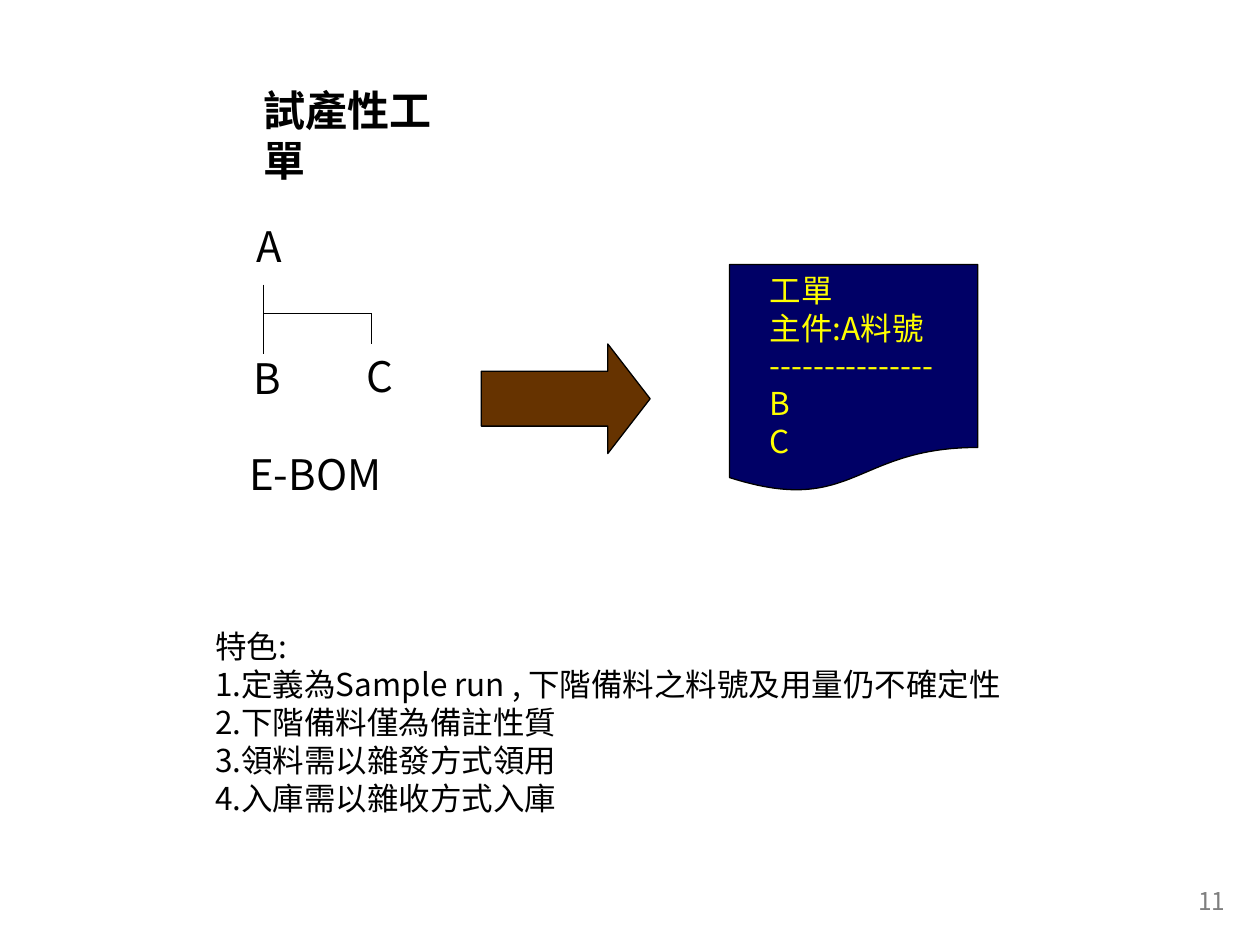
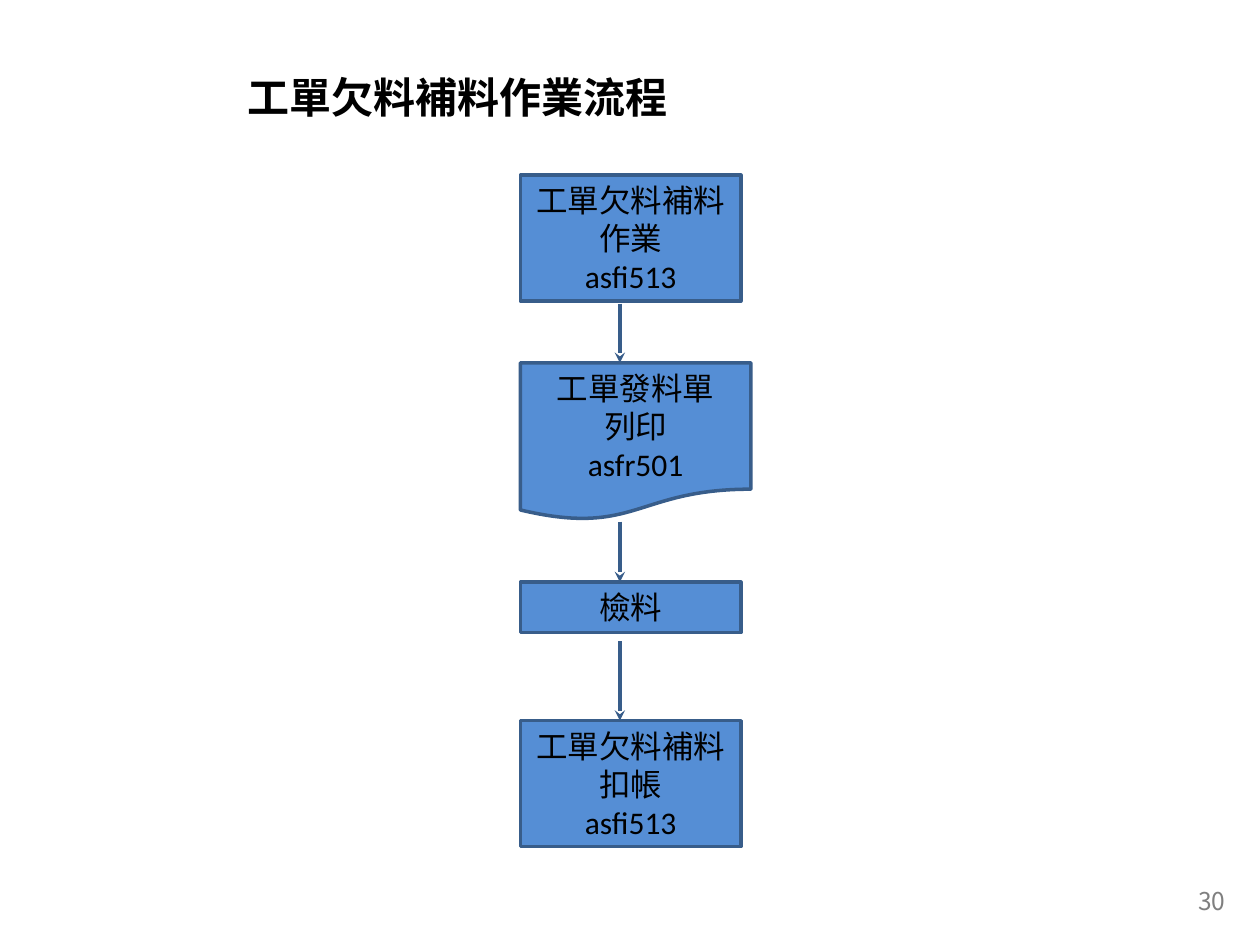
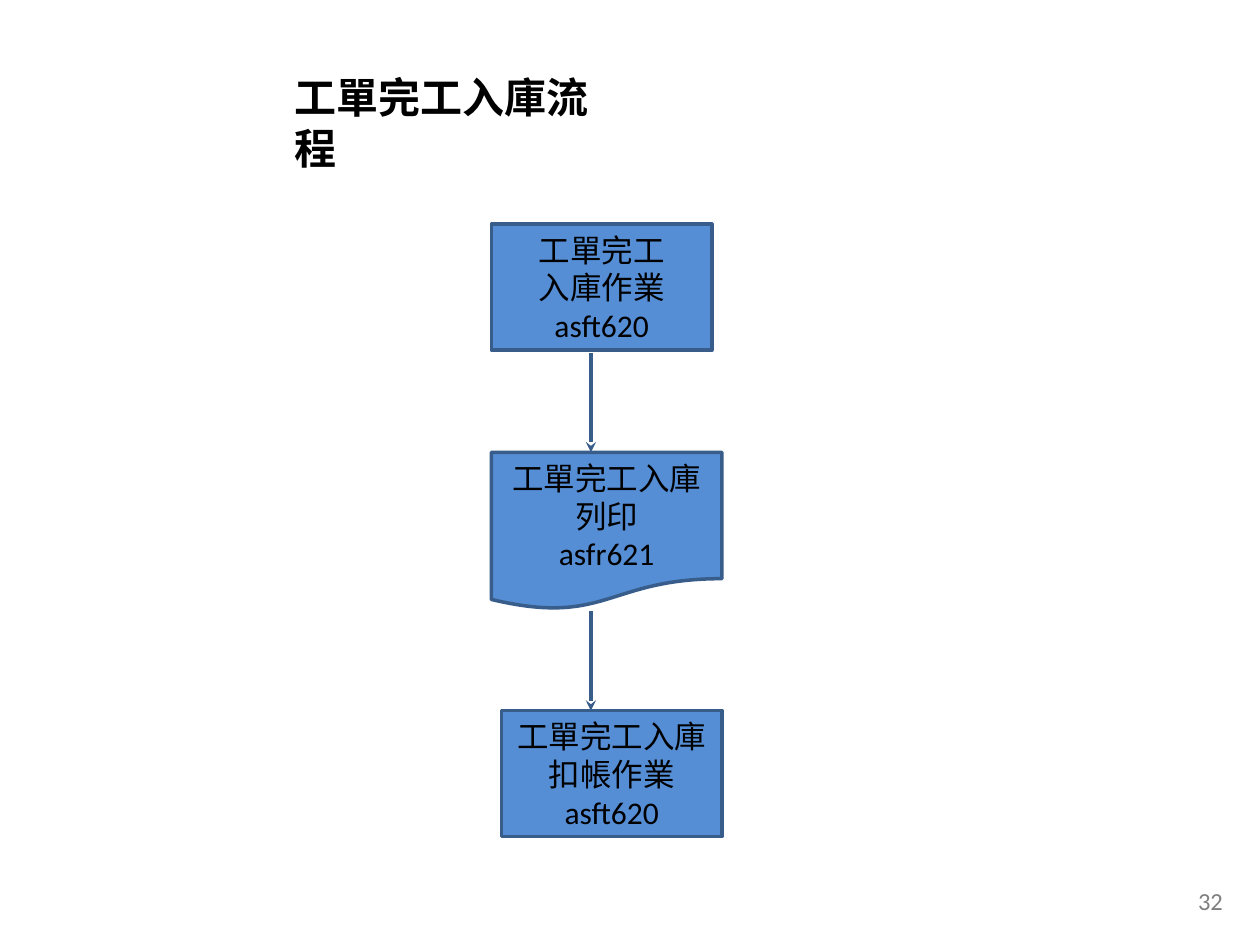
import dataclasses

import lxml.etree
import pptx
import pptx.dml.color
import pptx.enum.shapes
import pptx.enum.text
import pptx.oxml.ns
import pptx.util


@dataclasses.dataclass(frozen=True)
class Theme:
    ink: str = "000000"
    page_grey: str = "7F7F7F"
    step_fill: str = "558ED5"
    step_line: str = "385D8A"
    order_fill: str = "000066"
    order_text: str = "FFFF00"
    arrow_fill: str = "663300"
    main_font: str = "Noto Sans CJK TC"
    step_font: str = "Calibri"
    title_size: int = 24
    body_size: int = 18
    page_size: int = 14
    thin: float = 0.75
    thick: float = 2


theme = Theme()
color = pptx.dml.color.RGBColor.from_string
qname = pptx.oxml.ns.qn
preset = pptx.enum.shapes.MSO_SHAPE

presentation = pptx.Presentation()
presentation.slide_width = pptx.util.Inches(10)
presentation.slide_height = pptx.util.Inches(7.5)
column = presentation.slide_width / 100
row = presentation.slide_height / 75


def add_box(slide, kind, place, lines, size=theme.body_size, ink=theme.ink,
            font=theme.main_font, fill=None, line=None, width=theme.thin,
            bold=False, wrap=False):
    left, top, columns, rows = place
    bounds = [round(n) for n in (left * column, top * row, columns * column, rows * row)]
    if kind is None:
        shape = slide.shapes.add_textbox(*bounds)
    else:
        shape = slide.shapes.add_shape(kind, *bounds)
        shape.shadow.inherit = False
        shape.fill.solid()
        shape.fill.fore_color.rgb = color(fill)
        shape.line.color.rgb = color(line)
        shape.line.width = pptx.util.Pt(width)
    frame = shape.text_frame
    frame.word_wrap = wrap
    frame.text = "\n".join(lines)
    for paragraph in frame.paragraphs:
        if kind is not None:
            paragraph.alignment = pptx.enum.text.PP_ALIGN.CENTER
        paragraph.font.size = pptx.util.Pt(size)
        paragraph.font.bold = bold
        paragraph.font.color.rgb = color(ink)
        paragraph.font.name = font
        properties = paragraph._p.find(f"{qname('a:pPr')}/{qname('a:defRPr')}")
        lxml.etree.SubElement(properties, qname("a:ea"), typeface=theme.main_font)
    return shape


def add_line(slide, start, end, ink=theme.ink, width=theme.thin, arrow=False):
    connector = slide.shapes.add_connector(
        pptx.enum.shapes.MSO_CONNECTOR.STRAIGHT,
        round(start[0] * column), round(start[1] * row),
        round(end[0] * column), round(end[1] * row))
    connector.line.color.rgb = color(ink)
    connector.line.width = pptx.util.Pt(width)
    if arrow:
        lxml.etree.SubElement(connector.line._get_or_add_ln(), qname("a:tailEnd"), type="stealth")
    lxml.etree.SubElement(connector._element.spPr, qname("a:effectLst"))


pages = [
    ("試產性工單", (19.9, 6.2, 18.6, 5), "11", theme.main_font),
    ("工單欠料補料作業流程", (18.7, 5.2, 35.3, 5), "30", theme.main_font),
    ("工單完工入庫流程", (22.4, 5.2, 28.6, 5), "32", theme.step_font),
]
slides = []
for title, place, number, number_font in pages:
    slide = presentation.slides.add_slide(presentation.slide_layouts[6])
    add_box(slide, None, place, [title], theme.title_size, bold=True)
    add_box(slide, None, (94.1, 69.8, 5.9, 2.7), [number], theme.page_size,
            theme.page_grey, number_font, wrap=True)
    slides.append(slide)

trial_slide, *flow_slides = slides
for label, left, top, columns in [("A", 19.4, 17, 4.1), ("B", 19.1, 27.5, 4.1),
                                  ("C", 28.1, 27.3, 4.1), ("E-BOM", 18.8, 35.1, 12.7)]:
    add_box(trial_slide, None, (left, top, columns, 5), [label], theme.title_size)

trunk, branch, fork = 20.9, 29.5, 24.9
add_line(trial_slide, (trunk, 22.6), (trunk, 28.1))
add_line(trial_slide, (trunk, fork), (branch, fork))
add_line(trial_slide, (branch, fork), (branch, 27.3))

add_box(trial_slide, preset.FLOWCHART_DOCUMENT, (57.9, 21, 19.7, 18.1), [],
        fill=theme.order_fill, line=theme.ink)
add_box(trial_slide, None, (60.1, 21, 15.4, 16),
        ["工單", "主件:A料號", "-" * 15, "B", "C"], ink=theme.order_text)
arrow = add_box(trial_slide, preset.RIGHT_ARROW, (38.2, 27.3, 13.4, 8.7), [],
                fill=theme.arrow_fill, line=theme.ink)
arrow.adjustments[1] = 0.386
add_box(trial_slide, None, (16.1, 49.3, 66.1, 19), [
    "特色:",
    "1.定義為Sample run , 下階備料之料號及用量仍不確定性",
    "2.下階備料僅為備註性質",
    "3.領料需以雜發方式領用",
    "4.入庫需以雜收方式入庫",
], wrap=True)

task = (preset.RECTANGLE, 17.5, 10)
short_task = (preset.RECTANGLE, 17.5, 4)
printout = (preset.FLOWCHART_DOCUMENT, 18.3, 12.5)
flows = [
    (49.2, [24.1, 41.4, 50.9], [
        (task, 41.3, 13.9, ["工單欠料補料", "作業", "asfi513"]),
        (printout, 41.3, 28.8, ["工單發料單", "列印", "asfr501"]),
        (short_task, 41.3, 46.2, ["檢料"]),
        (task, 41.3, 57.2, ["工單欠料補料", "扣帳", "asfi513"]),
    ]),
    (46.9, [28, 48.5], [
        (task, 39, 17.8, ["工單完工", "入庫作業", "asft620"]),
        (printout, 39, 35.9, ["工單完工入庫", "列印", "asfr621"]),
        (task, 39.8, 56.4, ["工單完工入庫", "扣帳作業", "asft620"]),
    ]),
]
for slide, (axis, arrow_starts, steps) in zip(flow_slides, flows):
    for (kind, columns, rows), left, top, lines in steps:
        add_box(slide, kind, (left, top, columns, rows), lines, font=theme.step_font,
                fill=theme.step_fill, line=theme.step_line, width=theme.thick, wrap=True)
    for start, (_, _, next_top, _) in zip(arrow_starts, steps[1:]):
        add_line(slide, (axis, start), (axis, next_top), theme.step_line, theme.thick, arrow=True)

presentation.save("out.pptx")
